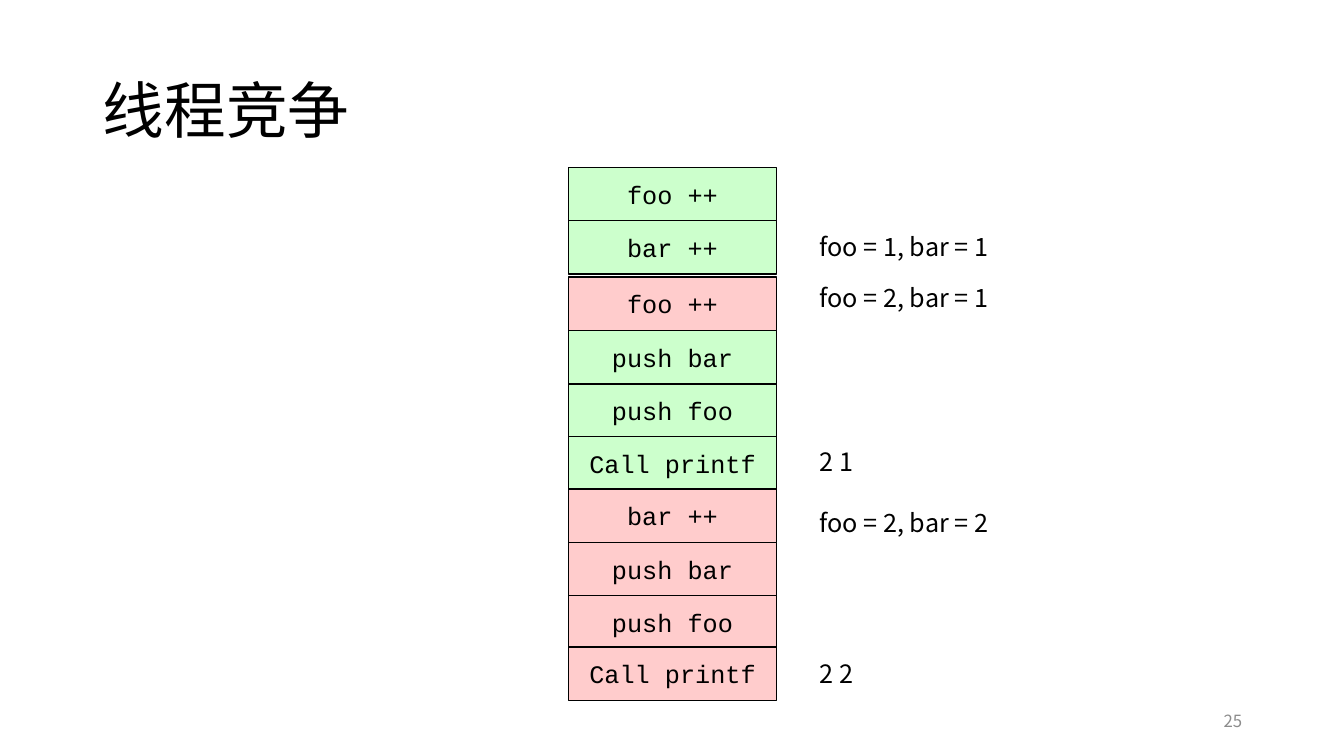
from lxml import etree
from pptx import Presentation
from pptx.dml.color import RGBColor
from pptx.enum.shapes import MSO_SHAPE as SHAPE
from pptx.enum.text import MSO_ANCHOR as ANCHOR, MSO_AUTO_SIZE as AUTO, PP_ALIGN as ALIGN
from pptx.oxml.ns import qn
from pptx.util import Pt

PX = 9144
SANS, MONO = "Noto Sans CJK SC", "Courier New"
GREEN, RED = "CCFFCC", "FFCCCC"

STEPS = [
    (166, "foo ++", GREEN),
    (219, "bar ++", GREEN),
    (275, "foo ++", RED),
    (328, "push bar", GREEN),
    (381, "push foo", GREEN),
    (433, "Call printf", GREEN),
    (485, "bar ++", RED),
    (538, "push bar", RED),
    (591, "push foo", RED),
    (642, "Call printf", RED),
]
RESULTS = [
    (225, "foo = 1, bar = 1"),
    (275, "foo = 2, bar = 1"),
    (438, "2 1"),
    (498, "foo = 2, bar = 2"),
    (648, "2 2"),
]


def px(*lengths):
    """Turn whole pixels into EMU."""
    return [n * PX for n in lengths]


def color(value):
    """Turn a hex string into a colour."""
    return RGBColor.from_string(value)


def write(sp, text, size=18, font=SANS, fill="000000", align=ALIGN.LEFT,
          anchor=ANCHOR.MIDDLE, spacing=None, fit=AUTO.NONE):
    """Put one formatted paragraph into a shape."""
    tf = sp.text_frame
    tf.word_wrap = True
    tf.auto_size = fit
    tf.vertical_anchor = anchor
    p = tf.paragraphs[0]
    p.alignment = align
    p.line_spacing = spacing
    r = p.add_run()
    r.text = text
    r.font.size = Pt(size)
    r.font.name = font
    r.font.color.rgb = color(fill)
    latin = r.font._element.find(qn("a:latin"))
    ea = etree.Element(qn("a:ea"), typeface=font)
    latin.addnext(ea)


class Deck:
    """Hold the style and the current slide."""

    def __init__(self, width, height):
        """Start a presentation with one title-only slide."""
        self.prs = Presentation()
        self.prs.slide_width, self.prs.slide_height = px(width, height)
        self.s = self.prs.slides.add_slide(self.prs.slide_layouts[5])

    def title(self, text, *box):
        """Place and format the title."""
        sp = self.s.shapes.title
        sp.left, sp.top, sp.width, sp.height = px(*box)
        write(sp, text, size=44, spacing=0.9)

    def box(self, text, fill, *box):
        """Add an outlined instruction box."""
        sp = self.s.shapes.add_shape(SHAPE.RECTANGLE, *px(*box))
        sp.shadow.inherit = False
        sp.fill.solid()
        sp.fill.fore_color.rgb = color(fill)
        sp.line.color.rgb = color("000000")
        sp.line.width = Pt(1)
        write(sp, text, font=MONO, align=ALIGN.CENTER)

    def label(self, text, *box, **style):
        """Add a text box."""
        write(self.s.shapes.add_textbox(*px(*box)), text, **style)


def main():
    """Build the slide on thread races."""
    deck = Deck(1333, 750)
    deck.title("线程竞争", 92, 40, 1150, 145)
    deck.label("25", 942, 695, 300, 40, size=12, fill="8C8C8C", align=ALIGN.RIGHT)
    for top, text, fill in STEPS:
        deck.box(text, fill, 564, top, 206, 53)
    for top, text in RESULTS:
        deck.label(text, 803, top, 268, 40, anchor=ANCHOR.TOP, fit=AUTO.SHAPE_TO_FIT_TEXT)
    deck.prs.save("out.pptx")


if __name__ == "__main__":
    main()
